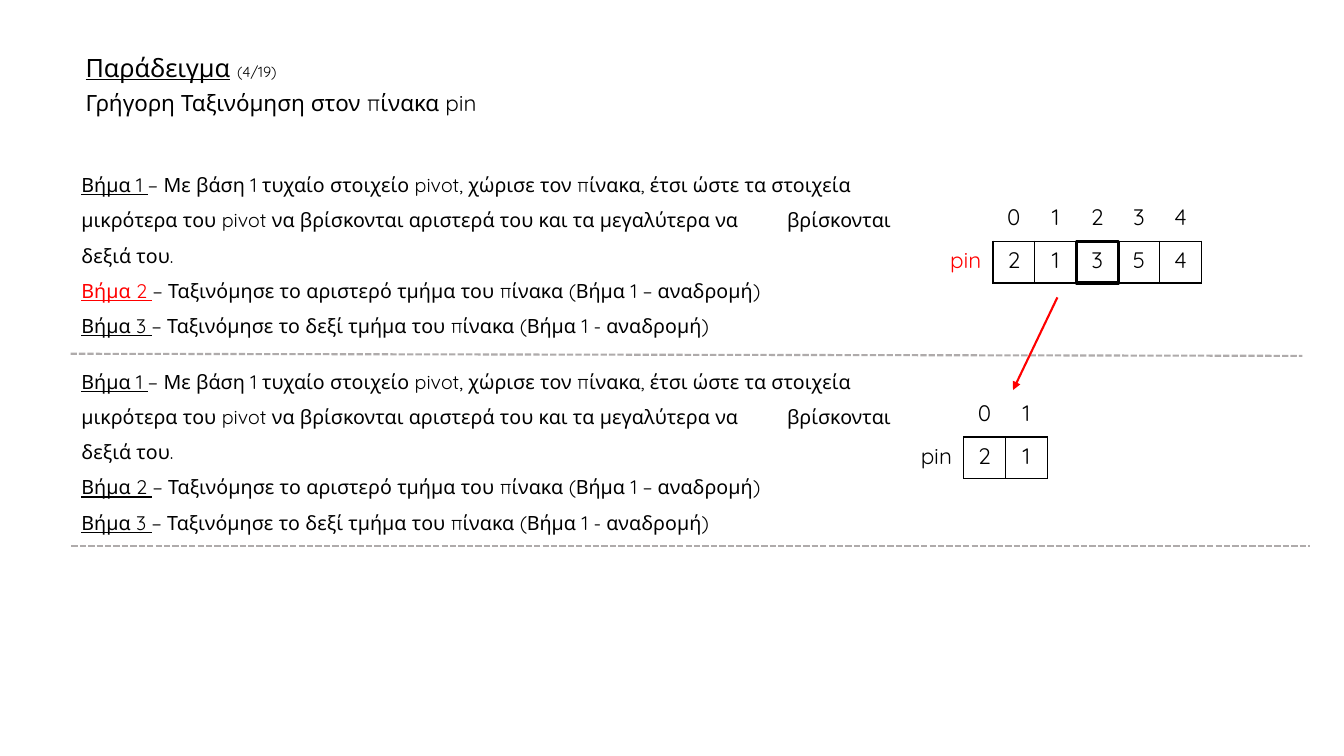
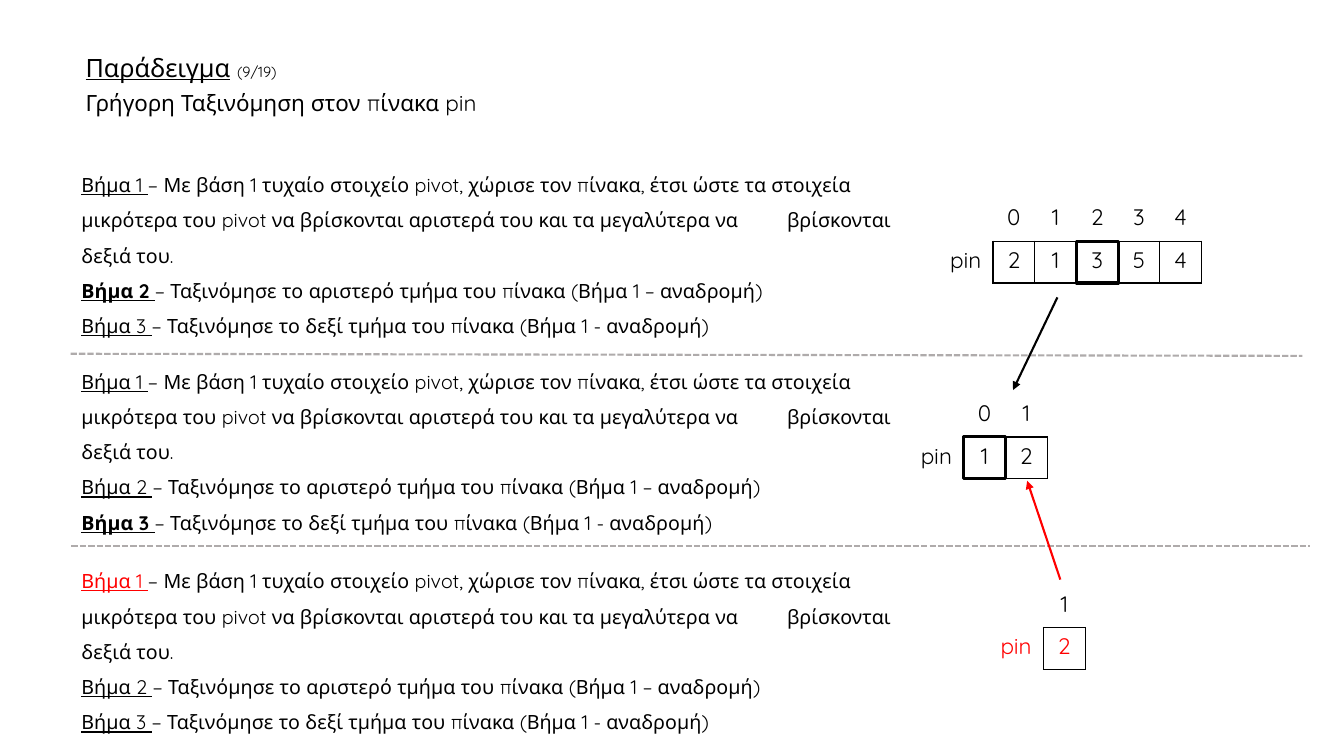
from lxml import etree
from pptx import Presentation
from pptx.dml.color import RGBColor
from pptx.enum.dml import MSO_LINE
from pptx.enum.shapes import MSO_CONNECTOR, MSO_SHAPE
from pptx.enum.text import MSO_AUTO_SIZE, PP_ALIGN
from pptx.oxml.ns import qn
from pptx.util import Pt

STRAIGHT = MSO_CONNECTOR.STRAIGHT
RECTANGLE = MSO_SHAPE.RECTANGLE
DASHED = MSO_LINE.SQUARE_DOT
CENTER = PP_ALIGN.CENTER
GROW = MSO_AUTO_SIZE.SHAPE_TO_FIT_TEXT

COLORS = {"ink": "000000", "active": "FF0000", "divider": "AFABAB"}
FONT = "Quicksand"

STEPS = [
    ("Βήμα 1 ", "− Με βάση 1 τυχαίο στοιχείο pivot, χώρισε τον πίνακα, έτσι ώστε τα στοιχεία "
                "\tμικρότερα του pivot να βρίσκονται αριστερά του και τα μεγαλύτερα να "
                "\tβρίσκονται δεξιά του."),
    ("Βήμα 2 ", "− Ταξινόμησε το αριστερό τμήμα του πίνακα (Βήμα 1 – αναδρομή)"),
    ("Βήμα 3 ", "− Ταξινόμησε το δεξί τμήμα του πίνακα (Βήμα 1 - αναδρομή)"),
]
STEP_TOPS = [111.6, 252, 394.6]
DIVIDERS = [(50.4, 252.7, 930.2, 254.2), (51, 390.2, 936, 390.2)]
FIRST_CALL = (755.3, 212.4, 723.6, 278.6)
SECOND_CALL = (757.4, 414, 733.7, 343.4)
ARRAY_PLACES = [(670.3, 141.8), (649.4, 281.5), (706.3, 417.6)]


def rgb(name):
    return RGBColor.from_string(COLORS[name])


class Deck:
    label_width, cell_size, index_height = 39, 29.8, 30.6

    def __init__(self):
        self.prs = Presentation()
        self.prs.slide_width, self.prs.slide_height = Pt(960), Pt(540)
        self.slide = None

    def new_slide(self, number):
        self.slide = self.prs.slides.add_slide(self.prs.slide_layouts[6])
        frame = self.text_frame(54, 36, 777, 55.4)
        heading = frame.paragraphs[0]
        self.run(heading, "Παράδειγμα", 18, underline=True)
        self.run(heading, " ", 18)
        self.run(heading, f"({number}/19)", 10.5)
        subtitle = frame.add_paragraph()
        subtitle.space_before = Pt(7)
        self.run(subtitle, "Γρήγορη Ταξινόμηση στον πίνακα pin", 16)
        for paragraph in frame.paragraphs:
            paragraph.line_spacing = 0.9
        for ends in DIVIDERS:
            self.line(ends, "divider").line.dash_style = DASHED

    def text_frame(self, left, top, width, height):
        frame = self.slide.shapes.add_textbox(Pt(left), Pt(top), Pt(width), Pt(height)).text_frame
        frame.word_wrap = True
        return frame

    def run(self, paragraph, text, size, color="ink", underline=False, bold=False):
        run = paragraph.add_run()
        run.text = text
        font = run.font
        font.name, font.size = FONT, Pt(size)
        font.underline, font.bold = underline, bold
        font.color.rgb = rgb(color)

    def steps(self, top, active=None, pending=None):
        frame = self.text_frame(51.1, top, 598.3, 131)
        frame.auto_size = GROW
        for number, (label, description) in enumerate(STEPS, 1):
            paragraph = frame.paragraphs[0] if number == 1 else frame.add_paragraph()
            paragraph.line_spacing = 1.5
            self.run(paragraph, label, 14, "active" if number == active else "ink",
                     underline=True, bold=number == pending)
            self.run(paragraph, description, 14)

    def line(self, ends, color):
        connector = self.slide.shapes.add_connector(STRAIGHT, *map(Pt, ends))
        connector.line.color.rgb = rgb(color)
        connector.line.width = Pt(1.5)
        etree.SubElement(connector._element.spPr, qn("a:effectLst"))
        return connector

    def arrow(self, ends, color="ink"):
        stroke = self.line(ends, color)._element.spPr.find(qn("a:ln"))
        etree.SubElement(stroke, qn("a:tailEnd"), type="triangle")

    def cell(self, cell, text, color, sides):
        properties = cell._tc.get_or_add_tcPr()
        for side in "LRTB":
            border = etree.SubElement(properties, qn(f"a:ln{side}"), w=str(Pt(1)))
            if side in sides:
                fill = etree.SubElement(border, qn("a:solidFill"))
                etree.SubElement(fill, qn("a:srgbClr"), val=COLORS["ink"])
            else:
                etree.SubElement(border, qn("a:noFill"))
        cell.fill.background()
        paragraph = cell.text_frame.paragraphs[0]
        paragraph.alignment = CENTER
        if text:
            self.run(paragraph, text, 16, color)

    def array(self, place, values, first_index=0, pivot=None, label_color="ink", value_color="ink"):
        left, top = place
        width = self.label_width + self.cell_size * len(values)
        height = self.index_height + self.cell_size
        table = self.slide.shapes.add_table(
            2, len(values) + 1, Pt(left), Pt(top), Pt(width), Pt(height)).table
        table.first_row = table.horz_banding = False
        table.rows[0].height, table.rows[1].height = Pt(self.index_height), Pt(self.cell_size)
        table.columns[0].width = Pt(self.label_width)
        self.cell(table.cell(0, 0), "", "ink", "")
        self.cell(table.cell(1, 0), "pin", label_color, "R")
        for column, value in enumerate(values, 1):
            table.columns[column].width = Pt(self.cell_size)
            self.cell(table.cell(0, column), str(first_index + column - 1), "ink", "B")
            self.cell(table.cell(1, column), str(value), value_color, "LRTB")
        if pivot is not None:
            self.pivot_frame(left + self.label_width + self.cell_size * pivot,
                             top + self.index_height)

    def pivot_frame(self, left, top):
        frame = self.slide.shapes.add_shape(
            RECTANGLE, Pt(left), Pt(top), Pt(self.cell_size), Pt(self.cell_size))
        frame.shadow.inherit = False
        frame.fill.background()
        frame.line.color.rgb = rgb("ink")
        frame.line.width = Pt(2.25)


def main():
    deck = Deck()

    deck.new_slide(4)
    deck.steps(STEP_TOPS[0], active=2)
    deck.array(ARRAY_PLACES[0], [2, 1, 3, 5, 4], pivot=2, label_color="active")
    deck.steps(STEP_TOPS[1])
    deck.array(ARRAY_PLACES[1], [2, 1])
    deck.arrow(FIRST_CALL, "active")

    deck.new_slide(9)
    deck.steps(STEP_TOPS[0], pending=2)
    deck.array(ARRAY_PLACES[0], [2, 1, 3, 5, 4], pivot=2)
    deck.steps(STEP_TOPS[1], pending=3)
    deck.array(ARRAY_PLACES[1], [1, 2], pivot=0)
    deck.arrow(FIRST_CALL)
    deck.steps(STEP_TOPS[2], active=1)
    deck.array(ARRAY_PLACES[2], [2], first_index=1, label_color="active", value_color="active")
    deck.arrow(SECOND_CALL, "active")

    deck.prs.save("out.pptx")


if __name__ == "__main__":
    main()
